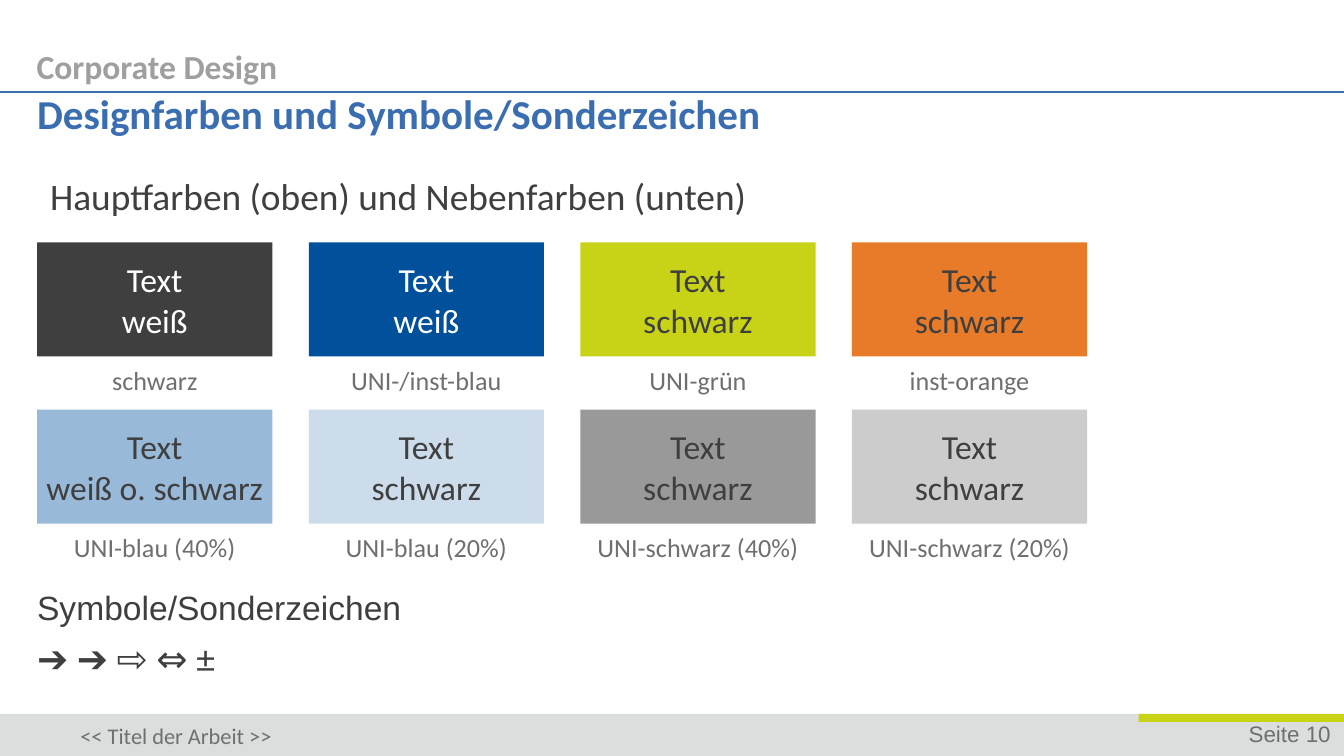
"""Builds a slide with the design colours and special symbols of a style guide."""
from pptx import Presentation
from pptx.dml.color import RGBColor
from pptx.enum.shapes import MSO_CONNECTOR, MSO_SHAPE
from pptx.enum.text import MSO_ANCHOR, MSO_AUTO_SIZE, PP_ALIGN
from pptx.oxml.ns import qn
from pptx.util import Pt
from lxml.etree import SubElement

BLACK, GREY, BLUE, GREEN = "3F3F3F", "6F6F6F", "3A6EB0", "C8D317"
INSET = (7.2, 3.6, 7.2, 3.6)


def paint(code):
    return RGBColor.from_string(code)


class Page:
    def __init__(self, slide, font="Calibri"):
        self.slide = slide
        self.font = font

    def letter(self, shape, text, size, color, bold=False, font=None, align=PP_ALIGN.LEFT,
               anchor=MSO_ANCHOR.TOP, inset=INSET, wrap=True, before=0, line=None):
        frame = shape.text_frame
        frame.text = text
        frame.word_wrap = wrap
        frame.auto_size = MSO_AUTO_SIZE.NONE
        frame.vertical_anchor = anchor
        frame.margin_left, frame.margin_top, frame.margin_right, frame.margin_bottom = map(Pt, inset)
        for para in frame.paragraphs:
            para.alignment = align
            para.space_before = Pt(before)
            para.line_spacing = line
            for run in para.runs:
                run.font.name = font or self.font
                run.font.size = Pt(size)
                run.font.bold = bold
                run.font.color.rgb = paint(color)
        return frame

    def fill(self, index, box, text, size, color, **style):
        shape = self.slide.placeholders[index]
        shape.left, shape.top, shape.width, shape.height = map(Pt, box)
        self.letter(shape, text, size, color, **style)

    def label(self, box, text, size, color, **style):
        shape = self.slide.shapes.add_textbox(*map(Pt, box))
        return self.letter(shape, text, size, color, **style)

    def block(self, box, color):
        shape = self.slide.shapes.add_shape(MSO_SHAPE.RECTANGLE, *map(Pt, box))
        shape.shadow.inherit = False
        shape.fill.solid()
        shape.fill.fore_color.rgb = paint(color)
        shape.line.fill.background()
        return shape

    def rule(self, ends, color, width):
        line = self.slide.shapes.add_connector(MSO_CONNECTOR.STRAIGHT, *map(Pt, ends))
        line.line.color.rgb = paint(color)
        line.line.width = Pt(width)
        SubElement(line._element.spPr, qn("a:effectLst"))

    def swatch(self, left, top, color, ink, text, name):
        wide, high = 126, 61.2
        shape = self.block((left, top, wide, high), color)
        self.letter(shape, text, 18, ink, align=PP_ALIGN.CENTER, anchor=MSO_ANCHOR.MIDDLE, wrap=False)
        extra = 18 if len(name) > 14 else 0
        self.label((left - extra / 2, top + high + 0.5, wide + extra, 24.2), name, 14, GREY,
                   align=PP_ALIGN.CENTER)

    def drop(self, *indexes):
        for index in indexes:
            item = self.slide.placeholders[index]._element
            item.getparent().remove(item)


def main():
    deck = Presentation()
    deck.slide_width, deck.slide_height = Pt(720), Pt(405)
    page = Page(deck.slides.add_slide(deck.slide_layouts[4]))
    page.drop(2, 4)

    page.block((0, 382.5, 720, 22.5), "DCDEDE")
    page.block((610, 382.5, 110, 4.3), GREEN)
    page.rule((720, 49.5, 0, 49.5), BLUE, 1)
    page.label((610, 382.5, 110, 21.8), "Seite 10", 12, GREY, font="Arial", align=PP_ALIGN.RIGHT)
    page.label((36, 383.3, 227.5, 21.8), "<< Titel der Arbeit >>", 12, GREY, anchor=MSO_ANCHOR.MIDDLE)

    page.fill(1, (19.6, 20.9, 567.5, 28.2), "Corporate Design", 18, "9F9F9F", bold=True,
              anchor=MSO_ANCHOR.BOTTOM, inset=(0, 0, 0, 2.8))
    page.fill(0, (19.9, 49.6, 567, 28.2), "Designfarben und Symbole/Sonderzeichen", 22, BLUE,
              bold=True, inset=(0, 2.8, 0, 0), line=0.8)
    page.fill(3, (19.6, 89.3, 680.4, 283.7), "Hauptfarben (oben) und Nebenfarben (unten)", 20, BLACK,
              before=4)

    rows = [
        [("3F3F3F", "FFFFFF", "weiß", "schwarz"),
         ("00509B", "FFFFFF", "weiß", "UNI-/inst-blau"),
         (GREEN, BLACK, "schwarz", "UNI-grün"),
         ("E77B29", BLACK, "schwarz", "inst-orange")],
        [("99B9D8", BLACK, "weiß o. schwarz", "UNI-blau (40%)"),
         ("CCDCEB", BLACK, "schwarz", "UNI-blau (20%)"),
         ("999999", BLACK, "schwarz", "UNI-schwarz (40%)"),
         ("CCCCCC", BLACK, "schwarz", "UNI-schwarz (20%)")],
    ]
    for row, items in enumerate(rows):
        for col, (color, ink, word, name) in enumerate(items):
            page.swatch(19.9 + 145.5 * col, 129.8 + 89.6 * row, color, ink, f"Text\n{word}", name)

    frame = page.label((19.9, 311, 692, 61.2), "Symbole/Sonderzeichen\n➔ ➔ ⇨ ⇔ ±", 18, BLACK,
                       font="Arial", inset=(0, 3.6, 0, 3.6), before=4)
    signs = frame.paragraphs[1].runs[0].font
    signs.name, signs.size = page.font, Pt(20)
    deck.save("out.pptx")


if __name__ == "__main__":
    main()
